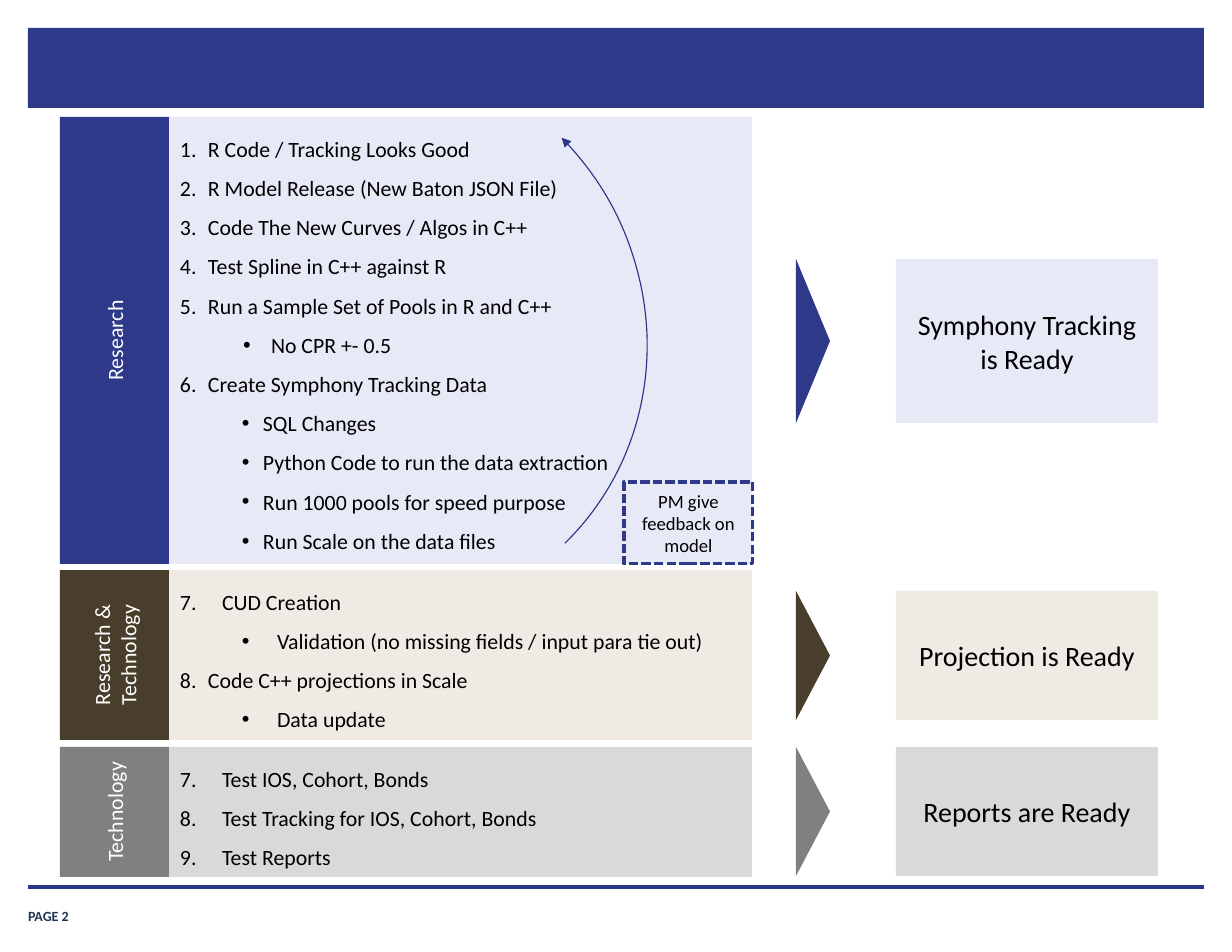
"""Build the three-stage release workflow slide."""
from dataclasses import dataclass
from typing import Optional

import pptx
import pptx.dml.color
import pptx.enum.dml
import pptx.enum.shapes
import pptx.enum.text
import pptx.oxml
import pptx.oxml.ns
import pptx.util

SCALE = 914400 / 112
FONT = "Calibri"
COLORS = {
    "navy": "2E398A", "rule": "2B3689", "page": "203353", "lavender": "E7E9F7",
    "brown": "493E2B", "cream": "EFEBE4", "gray": "808080", "silver": "D9D9D9",
    "black": "000000", "white": "FFFFFF",
}
MSO = pptx.enum.shapes.MSO_SHAPE
ALIGN = pptx.enum.text.PP_ALIGN
ANCHOR = pptx.enum.text.MSO_ANCHOR


@dataclass(frozen=True)
class Step:
    text: str
    margin: int = 28
    hang: int = 28
    start: Optional[int] = None


@dataclass(frozen=True)
class Stage:
    label: list[str]
    dark: str
    light: str
    top: int
    height: int
    steps: list[Step]
    result: str
    result_top: int
    result_height: int


STAGES = [
    Stage(["Research"], "navy", "lavender", 117, 447, [
        Step("R Code / Tracking Looks Good", start=1),
        Step("R Model Release (New Baton JSON File)", start=1),
        Step("Code The New Curves / Algos in C++", start=1),
        Step("Test Spline in C++ against R", start=1),
        Step("Run a Sample Set of Pools in R and C++", start=1),
        Step("No CPR +- 0.5", 91),
        Step("Create Symphony Tracking Data", start=1),
        Step("SQL Changes", 83, 21),
        Step("Python Code to run the data extraction", 83, 21),
        Step("Run 1000 pools for speed purpose", 83, 21),
        Step("Run Scale on the data files", 83, 21),
    ], "Symphony Tracking is Ready", 259, 164),
    Stage(["Research &", "Technology"], "brown", "cream", 570, 170, [
        Step("CUD Creation", 42, 42, 7),
        Step("Validation (no missing fields / input para tie out)", 97, 35),
        Step("Code C++ projections in Scale", start=7),
        Step("Data update", 97, 35),
    ], "Projection is Ready", 591, 129),
    Stage(["Technology"], "gray", "silver", 747, 130, [
        Step("Test IOS, Cohort, Bonds", 42, 42, 7),
        Step("Test Tracking for IOS, Cohort, Bonds", 42, 42, 7),
        Step("Test Reports", 42, 42, 7),
    ], "Reports are Ready", 747, 129),
]


def px(n: float) -> int:
    """Convert px to EMU."""
    return round(n * SCALE)


def rgb(name: str) -> pptx.dml.color.RGBColor:
    """Look up a colour by name."""
    return pptx.dml.color.RGBColor.from_string(COLORS[name])


def add_child(parent, tag: str, **attrs: str) -> None:
    """Append a DrawingML element with the given attributes."""
    child = pptx.oxml.parse_xml(f"<{tag} {pptx.oxml.ns.nsdecls('a')}/>")
    for key, value in attrs.items():
        child.set(key, value)
    parent.append(child)


def set_font(p, size: int, color: str, bold: bool = False) -> None:
    """Set the font of a whole paragraph."""
    p.font.name = FONT
    p.font.size = pptx.util.Pt(size)
    p.font.bold = bold
    p.font.color.rgb = rgb(color)


def add_box(s, kind, left: float, top: float, width: int, height: int,
            fill: Optional[str] = None):
    """Add a flat preset shape without an outline."""
    sp = s.shapes.add_shape(kind, px(left), px(top), px(width), px(height))
    sp.shadow.inherit = False
    sp.line.fill.background()
    if fill:
        sp.fill.solid()
        sp.fill.fore_color.rgb = rgb(fill)
    else:
        sp.fill.background()
    return sp


def write_centered(sp, lines: list[str], size: int, color: str) -> None:
    """Write centred paragraphs into a shape."""
    tf = sp.text_frame
    tf.word_wrap = True
    tf.vertical_anchor = ANCHOR.MIDDLE
    for i, line in enumerate(lines):
        p = tf.add_paragraph() if i else tf.paragraphs[0]
        p.text = line
        p.alignment = ALIGN.CENTER
        set_font(p, size, color)


def write_steps(sp, steps: list[Step]) -> None:
    """Write numbered steps and bulleted details into a panel."""
    tf = sp.text_frame
    tf.word_wrap = True
    tf.vertical_anchor = ANCHOR.TOP
    tf.auto_size = pptx.enum.text.MSO_AUTO_SIZE.SHAPE_TO_FIT_TEXT
    for i, step in enumerate(steps):
        p = tf.add_paragraph() if i else tf.paragraphs[0]
        p.text = step.text
        p.alignment = ALIGN.LEFT
        p.line_spacing = 1.5
        pPr = p._p.get_or_add_pPr()
        pPr.set("marL", str(px(step.margin)))
        pPr.set("indent", str(-px(step.hang)))
        if step.start:
            add_child(pPr, "a:buFont", typeface="+mj-lt")
            add_child(pPr, "a:buAutoNum", type="arabicPeriod", startAt=str(step.start))
        else:
            p.level = 1
            add_child(pPr, "a:buFont", typeface="Arial")
            add_child(pPr, "a:buChar", char="•")
        set_font(p, 14, "black")


def add_frame(s) -> None:
    """Add the header band, footer rule and page number."""
    add_box(s, MSO.RECTANGLE, 28, 28, 1176, 80, "navy")
    rule = s.shapes.add_connector(pptx.enum.shapes.MSO_CONNECTOR.STRAIGHT,
                                  px(28), px(887), px(1204), px(887))
    rule.line.color.rgb = rgb("rule")
    rule.line.width = pptx.util.Pt(2)
    add_child(rule._element.spPr, "a:effectLst")
    tf = s.shapes.add_textbox(px(28), px(898), px(102), px(26)).text_frame
    tf.word_wrap = True
    tf.vertical_anchor = ANCHOR.BOTTOM
    tf.margin_left = tf.margin_right = tf.margin_top = tf.margin_bottom = 0
    p = tf.paragraphs[0]
    p.text = "PAGE 2"
    set_font(p, 9, "page", bold=True)


def add_stage(s, stage: Stage) -> None:
    """Add one stage: label, steps, arrow and result."""
    panel = add_box(s, MSO.RECTANGLE, 169, stage.top, 583, stage.height, stage.light)
    write_steps(panel, stage.steps)
    label = add_box(s, MSO.RECTANGLE, 60, stage.top, 109, stage.height, stage.dark)
    write_centered(label, stage.label, 14, "white")
    label.text_frame._txBody.bodyPr.set("vert", "vert270")
    length, depth = stage.result_height, 34
    middle = stage.result_top + length / 2
    arrow = add_box(s, MSO.ISOSCELES_TRIANGLE, 813 - length / 2, middle - depth / 2,
                    length, depth, stage.dark)
    arrow.rotation = 90
    result = add_box(s, MSO.RECTANGLE, 896, stage.result_top, 262, length, stage.light)
    write_centered(result, [stage.result], 18, "black")


def add_feedback(s) -> None:
    """Add the feedback arc and its dashed note."""
    arc = add_box(s, MSO.ARC, 68, 53, 585, 562)
    arc.rotation = 45.7
    arc.line.color.rgb = rgb("rule")
    arc.line.width = pptx.util.Pt(0.75)
    add_child(arc.line._get_or_add_ln(), "a:headEnd", type="triangle")
    note = add_box(s, MSO.RECTANGLE, 624, 482, 129, 82)
    note.line.color.rgb = rgb("navy")
    note.line.width = pptx.util.Pt(2)
    note.line.dash_style = pptx.enum.dml.MSO_LINE.SQUARE_DOT
    write_centered(note, ["PM give feedback on model"], 12, "black")


def main() -> None:
    """Build and save the slide."""
    prs = pptx.Presentation()
    prs.slide_width, prs.slide_height = px(1232), px(952)
    s = prs.slides.add_slide(prs.slide_layouts[6])
    add_frame(s)
    for stage in STAGES:
        add_stage(s, stage)
    add_feedback(s)
    prs.save("out.pptx")


if __name__ == "__main__":
    main()
